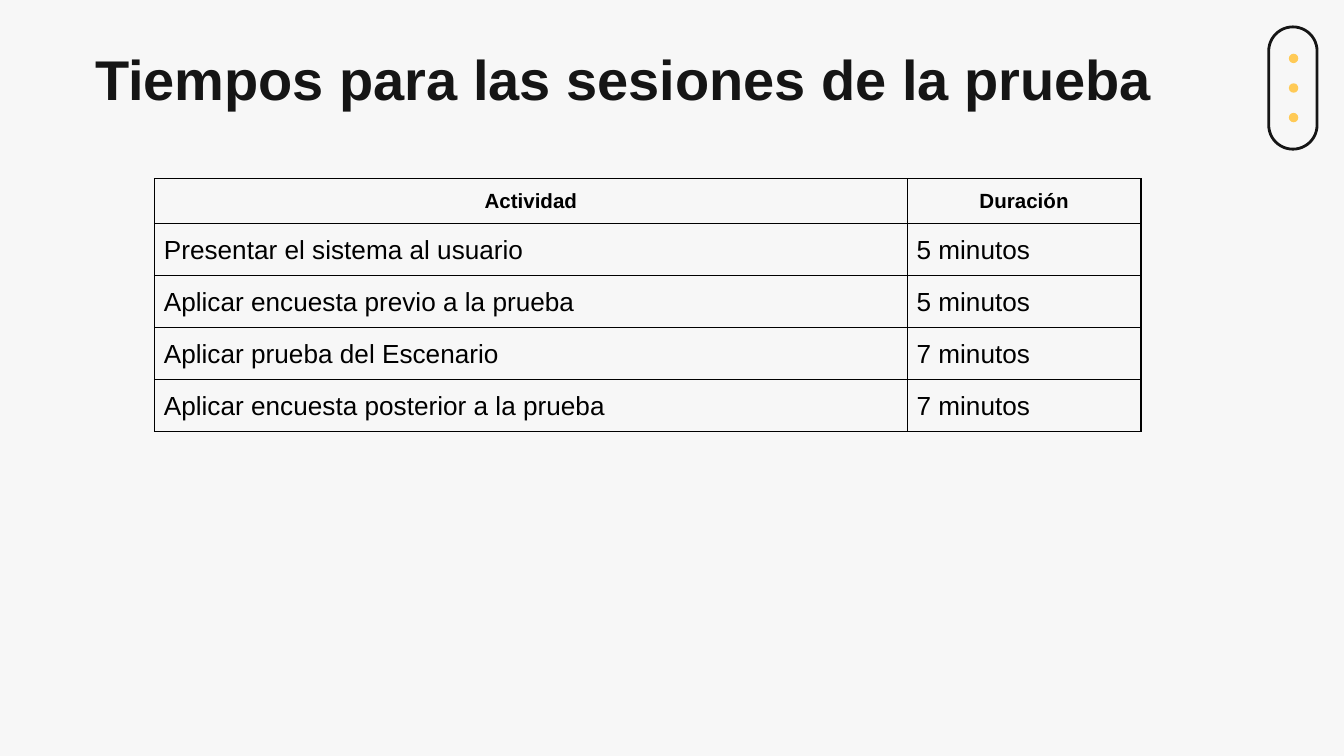
from lxml import etree
from pptx import Presentation
from pptx.dml.color import RGBColor
from pptx.enum.shapes import MSO_SHAPE
from pptx.enum.text import MSO_ANCHOR, PP_ALIGN
from pptx.oxml.ns import qn
from pptx.util import Inches, Pt

PAPER = RGBColor(0xF7, 0xF7, 0xF7)
INK = RGBColor(0x15, 0x15, 0x15)
BLACK = RGBColor(0, 0, 0)
GOLD = RGBColor(0xFF, 0xCA, 0x56)
PILL, DOT = MSO_SHAPE.ROUNDED_RECTANGLE, MSO_SHAPE.OVAL
LEFT, CENTER = PP_ALIGN.LEFT, PP_ALIGN.CENTER
TOP = MSO_ANCHOR.TOP

ROWS = [
    ("Actividad", "Duración"),
    ("Presentar el sistema al usuario", "5 minutos"),
    ("Aplicar encuesta previo a la prueba", "5 minutos"),
    ("Aplicar prueba del Escenario", "7 minutos"),
    ("Aplicar encuesta posterior a la prueba", "7 minutos"),
]


def write(frame, text, size=14, color=BLACK, bold=False, align=LEFT,
          font="Arial", lead=None, before=None):
    par = frame.paragraphs[0]
    par.alignment = align
    par.line_spacing = lead
    par.space_before = before
    run = par.add_run()
    run.text = text
    run.font.name = font
    run.font.size = Pt(size)
    run.font.bold = bold
    run.font.color.rgb = color


class Page:
    """Slide with its style and one method for each kind of element."""

    def __init__(self, deck):
        self.slide = deck.slides.add_slide(deck.slide_layouts[6])
        self.shapes = self.slide.shapes
        fill = self.slide.background.fill
        fill.solid()
        fill.fore_color.rgb = PAPER

    def shape(self, kind, x, y, w, h, fill=None, line=None):
        item = self.shapes.add_shape(kind, Inches(x), Inches(y), Inches(w), Inches(h))
        item.shadow.inherit = False
        if fill is None:
            item.fill.background()
        else:
            item.fill.solid()
            item.fill.fore_color.rgb = fill
        if line is None:
            item.line.fill.background()
        else:
            item.line.color.rgb = line
            item.line.width = Pt(1.5)
        return item

    def title(self, text, x, y, w, h):
        frame = self.shapes.add_textbox(Inches(x), Inches(y), Inches(w), Inches(h)).text_frame
        frame.word_wrap = True
        frame.vertical_anchor = TOP
        frame.margin_left = frame.margin_right = Inches(0.1)
        frame.margin_top = frame.margin_bottom = Inches(0.1)
        write(frame, text, size=30, color=INK, bold=True)

    def border(self, cell):
        props = cell._tc.get_or_add_tcPr()
        for pos, side in enumerate(("a:lnL", "a:lnR", "a:lnT", "a:lnB")):
            line = etree.Element(qn(side), w=str(Pt(0.75)))
            fill = etree.SubElement(line, qn("a:solidFill"))
            etree.SubElement(fill, qn("a:srgbClr"), val=str(BLACK))
            props.insert(pos, line)

    def table(self, rows, x, y, widths, high):
        grid = self.shapes.add_table(
            len(rows), len(widths), Inches(x), Inches(y),
            Inches(sum(widths)), Inches(high * len(rows))).table
        grid.horz_banding = False
        for col, width in zip(grid.columns, widths):
            col.width = Inches(width)
        for i, row in enumerate(rows):
            head = i == 0
            for j, text in enumerate(row):
                cell = grid.cell(i, j)
                cell.fill.background()
                cell.margin_left = cell.margin_right = Inches(0.07)
                cell.margin_top = cell.margin_bottom = Inches(0.06)
                write(cell.text_frame, text, size=11 if head else 14, bold=head,
                      align=CENTER if head else LEFT, lead=1.15, before=Pt(12))
                self.border(cell)


def main():
    deck = Presentation()
    deck.slide_width = Inches(10)
    deck.slide_height = deck.slide_width * 9 // 16
    page = Page(deck)
    pill = page.shape(PILL, 9.44, 0.2, 0.36, 0.91, line=INK)
    pill.adjustments[0] = 0.5
    for i in range(3):
        page.shape(DOT, 9.59, 0.4 + 0.22 * i, 0.07, 0.07, fill=GOLD)
    page.title("Tiempos para las sesiones de la prueba", 0.61, 0.23, 8.43, 0.63)
    page.table(ROWS, 1.15, 1.33, (5.6, 1.74), 0.33)
    deck.save("out.pptx")


if __name__ == "__main__":
    main()
